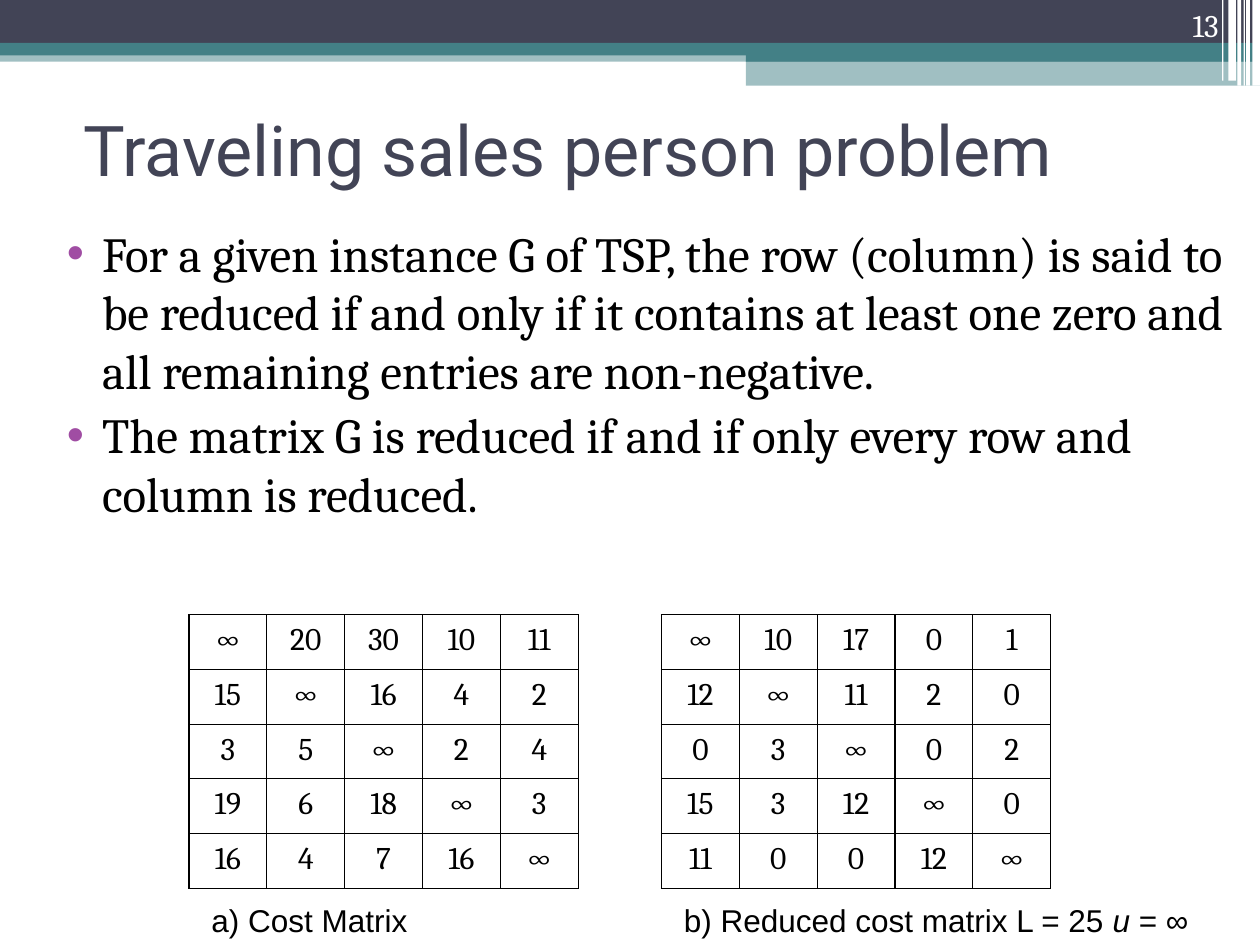
from lxml import etree
from pptx import Presentation
from pptx.dml.color import RGBColor
from pptx.enum.shapes import MSO_SHAPE
from pptx.enum.text import MSO_ANCHOR, MSO_AUTO_SIZE, PP_ALIGN
from pptx.oxml.ns import qn
from pptx.util import Inches, Pt

RECTANGLE = MSO_SHAPE.RECTANGLE
TOP, MIDDLE, BOTTOM = MSO_ANCHOR.TOP, MSO_ANCHOR.MIDDLE, MSO_ANCHOR.BOTTOM
LEFT, CENTER, RIGHT = PP_ALIGN.LEFT, PP_ALIGN.CENTER, PP_ALIGN.RIGHT
NO_AUTOFIT = MSO_AUTO_SIZE.NONE

COLORS = {
    "navy": "424456",
    "teal": "438086",
    "purple": "A04DA3",
    "white": "FFFFFF",
    "black": "000000",
}

# left, top, width, height, colour, opacity in percent
BANDS = [
    (0, 0.4, 10, 0.09, "teal", 50),
    (0, 0, 10, 0.34, "navy", 100),
    (0, 0.34, 10, 0.1, "teal", 100),
    (5.92, 0.39, 4.08, 0.1, "teal", 100),
    (5.92, 0.48, 4.08, 0.2, "teal", 50),
]
# left, width, height
STRIPES = [
    (9.94, 0.06, 0.68),
    (9.89, 0.03, 0.68),
    (9.87, 0.01, 0.68),
    (9.82, 0.03, 0.68),
    (9.75, 0.06, 0.64),
    (9.7, 0.01, 0.64),
]

BULLETS = [
    "For a given instance G of TSP, the row (column) is said to be reduced if and only if "
    "it contains at least one zero and all remaining entries are non-negative.",
    "The matrix G is reduced if and if only every row and column is reduced.",
]
COST_MATRIX = [
    "∞ 20 30 10 11",
    "15 ∞ 16 4 2",
    "3 5 ∞ 2 4",
    "19 6 18 ∞ 3",
    "16 4 7 16 ∞",
]
REDUCED_MATRIX = [
    "∞ 10 17 0 1",
    "12 ∞ 11 2 0",
    "0 3 ∞ 0 2",
    "15 3 12 ∞ 0",
    "11 0 0 12 ∞",
]


class SlideBuilder:
    heading_font = "Roboto"
    body_font = "Cambria"
    caption_font = "Arial"
    small_size = 18

    def __init__(self, slide):
        self.slide = slide

    def color(self, name):
        return RGBColor.from_string(COLORS[name])

    def place(self, shape, left, top, width, height):
        shape.left, shape.top = Inches(left), Inches(top)
        shape.width, shape.height = Inches(width), Inches(height)

    def span(self, para, text, size, font, color="black", italic=False):
        span = para.add_run()
        span.text = text
        span.font.size = Pt(size)
        span.font.name = font
        span.font.italic = italic
        span.font.color.rgb = self.color(color)

    def bar(self, left, top, width, height, color, opacity=100):
        bar = self.slide.shapes.add_shape(
            RECTANGLE, Inches(left), Inches(top), Inches(width), Inches(height))
        bar.shadow.inherit = False
        bar.line.fill.background()
        bar.fill.solid()
        bar.fill.fore_color.rgb = self.color(color)
        if opacity < 100:
            tint = bar.fill._xPr.find(".//" + qn("a:srgbClr"))
            etree.SubElement(tint, qn("a:alpha"), val=str(opacity * 1000))

    def title(self, text, *area):
        title = self.slide.shapes.title
        self.place(title, *area)
        frame = title.text_frame
        frame.auto_size = NO_AUTOFIT
        frame.vertical_anchor = MIDDLE
        para = frame.paragraphs[0]
        para.alignment = LEFT
        self.span(para, text, 40, self.heading_font, "navy")

    def bullet_mark(self, para, indent, hanging):
        properties = para._p.get_or_add_pPr()
        properties.set("marL", str(Inches(indent)))
        properties.set("indent", str(-Inches(hanging)))
        mark_color = etree.SubElement(properties, qn("a:buClr"))
        etree.SubElement(mark_color, qn("a:srgbClr"), val=COLORS["purple"])
        etree.SubElement(properties, qn("a:buFont"), typeface="Arial")
        etree.SubElement(properties, qn("a:buChar"), char="•")

    def bullets(self, items, *area):
        body = self.slide.placeholders[1]
        self.place(body, *area)
        frame = body.text_frame
        frame.auto_size = NO_AUTOFIT
        for index, item in enumerate(items):
            para = frame.add_paragraph() if index else frame.paragraphs[0]
            self.bullet_mark(para, 0.4, 0.28)
            para.space_before = Pt(3 if index else 0)
            self.span(para, item, 28, self.body_font)

    def text(self, spans, left, top, width, height, font,
             color="black", align=LEFT, anchor=TOP):
        """Add a one-line box; spans is a list of (text, italic) pairs."""
        box = self.slide.shapes.add_textbox(
            Inches(left), Inches(top), Inches(width), Inches(height))
        frame = box.text_frame
        frame.word_wrap = True
        frame.vertical_anchor = anchor
        para = frame.paragraphs[0]
        para.alignment = align
        for words, italic in spans:
            self.span(para, words, self.small_size, font, color, italic)

    def borders(self, cell):
        properties = cell._tc.get_or_add_tcPr()
        for index, side in enumerate(("a:lnL", "a:lnR", "a:lnT", "a:lnB")):
            line = etree.Element(qn(side), w=str(Pt(0.75)))
            fill = etree.SubElement(line, qn("a:solidFill"))
            etree.SubElement(fill, qn("a:srgbClr"), val=COLORS["black"])
            properties.insert(index, line)

    def matrix(self, lines, left, top, width, height):
        rows = [line.split() for line in lines]
        table = self.slide.shapes.add_table(
            len(rows), len(rows[0]), Inches(left), Inches(top),
            Inches(width), Inches(height)).table
        table.first_row = table.horz_banding = False
        for row_index, row in enumerate(rows):
            for column_index, value in enumerate(row):
                cell = table.cell(row_index, column_index)
                cell.fill.background()
                self.borders(cell)
                cell.margin_top = Inches(0.06)
                para = cell.text_frame.paragraphs[0]
                para.alignment = CENTER
                para.line_spacing = 0.98
                self.span(para, value, self.small_size, self.body_font)


def main():
    deck = Presentation()
    deck.slide_width, deck.slide_height = Inches(10), Inches(7.5)
    page = SlideBuilder(deck.slides.add_slide(deck.slide_layouts[1]))

    for band in BANDS:
        page.bar(*band)
    for left, width, height in STRIPES:
        page.bar(left, 0, width, height, "white")

    page.title("Traveling sales person problem", 0.56, 0.59, 9, 1.17)
    page.bullets(BULLETS, 0.31, 1.72, 9.5, 4.95)
    page.text([("13", False)], 8.94, 0, 0.83, 0.4, page.body_font,
              "white", RIGHT, BOTTOM)

    page.matrix(COST_MATRIX, 1.5, 4.88, 3.09, 2.17)
    page.matrix(REDUCED_MATRIX, 5.25, 4.88, 3.09, 2.17)
    page.text([("a) Cost Matrix", False)], 1.58, 7.1, 2.83, 0.4, page.caption_font)
    page.text([("b) Reduced cost matrix L = 25 ", False), ("u", True), (" = ∞", False)],
              5.33, 7.1, 4.44, 0.4, page.caption_font)

    deck.save("out.pptx")


if __name__ == "__main__":
    main()
